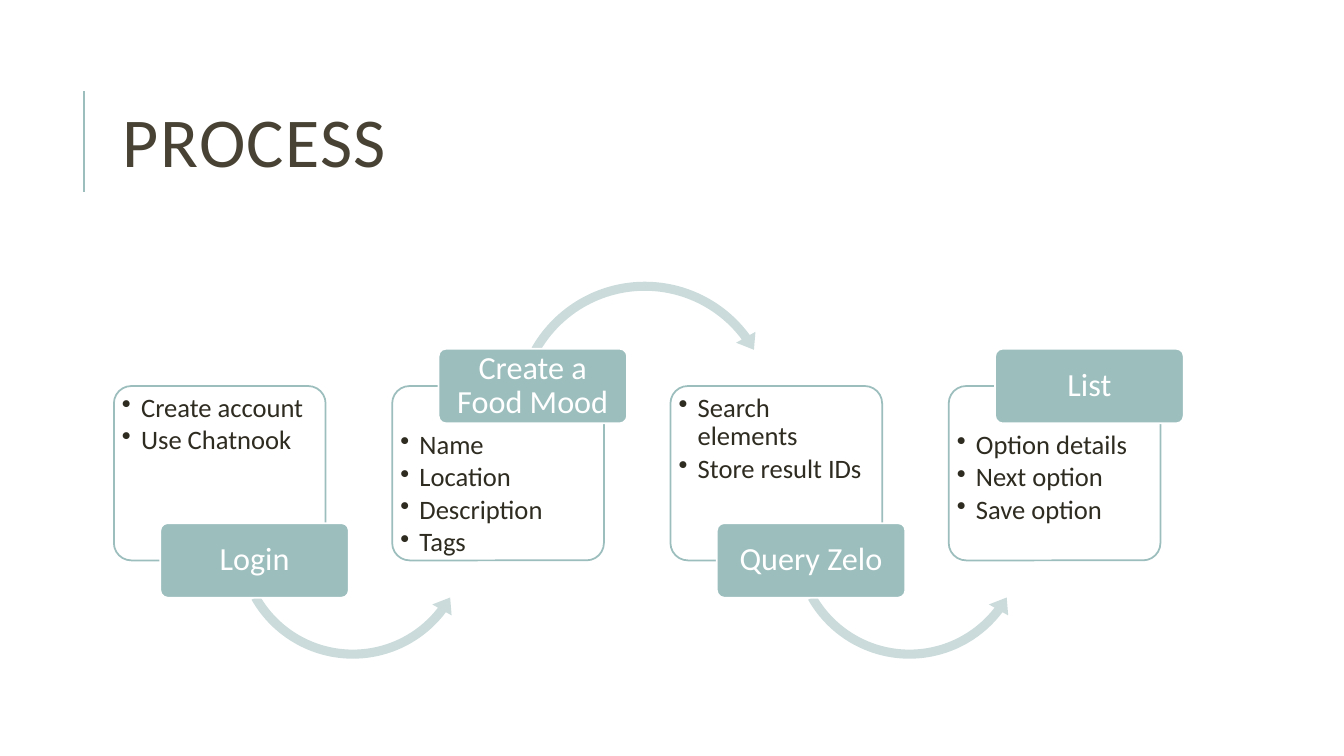
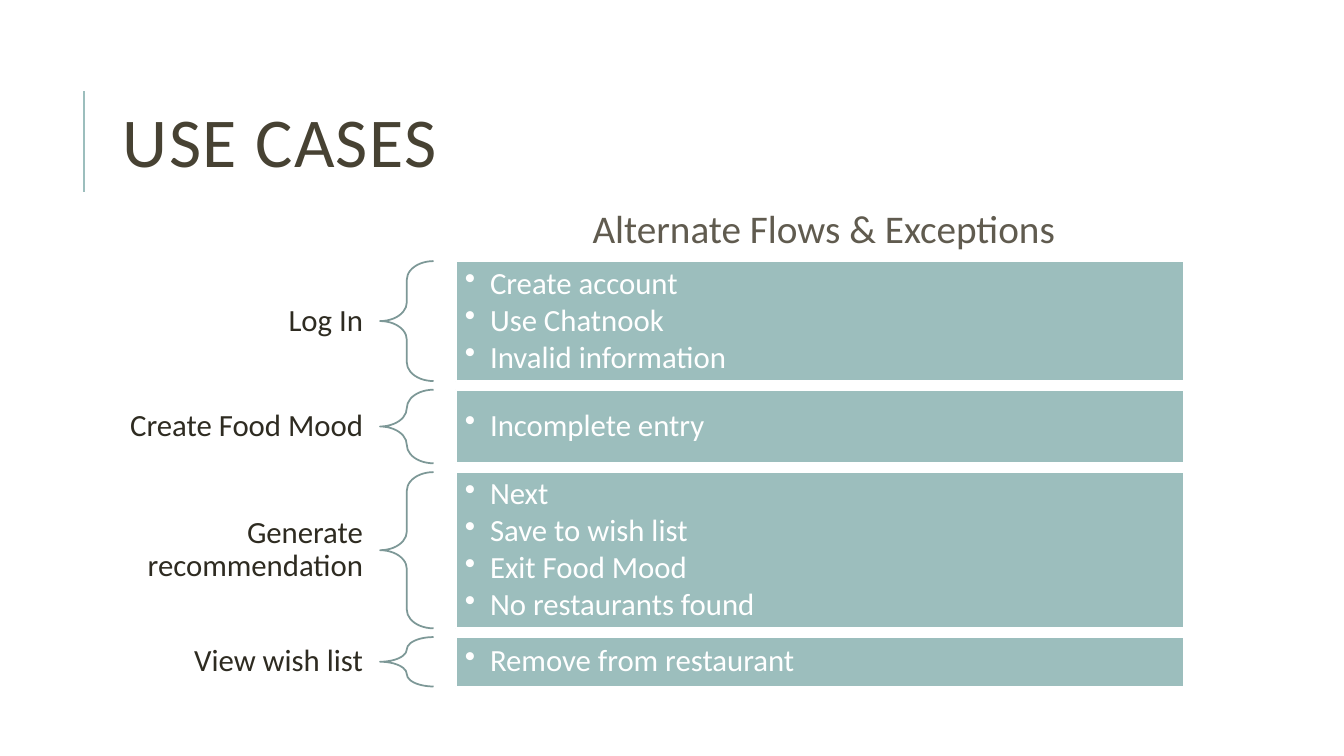
from dataclasses import dataclass

from lxml import etree
from pptx import Presentation
from pptx.dml.color import RGBColor
from pptx.enum import shapes, text
from pptx.oxml.ns import qn
from pptx.util import Inches, Pt


@dataclass(frozen=True)
class Theme:
    font: str = "Calibri"
    teal: str = "9CBEBD"
    pale: str = "CBDBDB"
    brace: str = "7D9897"
    title: str = "474233"
    head: str = "605B4F"
    ink: str = "2E2B21"
    white: str = "FFFFFF"
    title_pt: int = 50
    head_pt: int = 28
    label_pt: int = 23
    row_pt: int = 22
    item_pt: int = 19
    edge_pt: float = 1.25
    rule_pt: float = 1.5
    after_pt: float = 2.7


T = Theme()
KIND = shapes.MSO_SHAPE
ALIGN = text.PP_ALIGN
ANCHOR = text.MSO_ANCHOR

STEPS = [
    ("Login", "down", ["Create account", "Use Chatnook"]),
    ("Create a Food Mood", "up", ["Name", "Location", "Description", "Tags"]),
    ("Query Zelo", "down", ["Search elements", "Store result IDs"]),
    ("List", "up", ["Option details", "Next option", "Save option"]),
]
SIDES = {
    "down": dict(label=5.19, pad=0.03, kind=KIND.LEFT_CIRCULAR_ARROW,
                 top=4.16, size=2.44, turn=(4.57, 22.33, 90.25)),
    "up": dict(label=3.46, pad=0.4, kind=KIND.CIRCULAR_ARROW,
               top=2.73, size=2.71, turn=(4.09, 194.16, 125.76)),
}
HEAD = "Alternate Flows & Exceptions"
CASES = [
    ("Log In", 1.19, ["Create account", "Use Chatnook", "Invalid information"]),
    ("Create Food Mood", 0.73, ["Incomplete entry"]),
    ("Generate recommendation", 1.55,
     ["Next", "Save to wish list", "Exit Food Mood", "No restaurants found"]),
    ("View wish list", 0.49, ["Remove from restaurant"]),
]


def color(code):
    return RGBColor.from_string(code)


def draw(slide, kind, box, fill=None, line=None, adjust=()):
    shape = slide.shapes.add_shape(kind, *map(Inches, box))
    shape.shadow.inherit = False
    if fill:
        shape.fill.solid()
        shape.fill.fore_color.rgb = color(fill)
    else:
        shape.fill.background()
    if line:
        shape.line.color.rgb = color(line)
        shape.line.width = Pt(T.edge_pt)
    else:
        shape.line.fill.background()
    for i, value in enumerate(adjust):
        shape.adjustments[i] = value
    return shape


def write(shape, lines, size, ink, align=ALIGN.LEFT, anchor=ANCHOR.MIDDLE,
          pads=(0.1, 0.05, 0.1, 0.05), space=0.9, hang=0, track=0):
    frame = shape.text_frame
    frame.word_wrap = True
    frame.vertical_anchor = anchor
    (frame.margin_left, frame.margin_top,
     frame.margin_right, frame.margin_bottom) = map(Inches, pads)
    for i, line in enumerate(lines):
        para = frame.paragraphs[0] if i == 0 else frame.add_paragraph()
        para.alignment = align
        para.line_spacing = space
        if hang:
            para.space_after = Pt(T.after_pt)
            props = para._p.get_or_add_pPr()
            props.set("marL", str(Inches(hang)))
            props.set("indent", str(-Inches(hang)))
            etree.SubElement(props, qn("a:buChar")).set("char", "•")
        run = para.add_run()
        run.text = line
        run.font.name = T.font
        run.font.size = Pt(size)
        run.font.color.rgb = color(ink)
        if track:
            run._r.get_or_add_rPr().set("spc", str(track * 100))


def note(slide, box, lines, *args, **opts):
    write(slide.shapes.add_textbox(*map(Inches, box)), lines, *args, **opts)


def start(deck, title):
    slide = deck.slides.add_slide(deck.slide_layouts[6])
    rule = slide.shapes.add_connector(
        shapes.MSO_CONNECTOR.STRAIGHT, *map(Inches, (0.83, 1.9, 0.83, 0.9)))
    rule.line.color.rgb = color(T.teal)
    rule.line.width = Pt(T.rule_pt)
    etree.SubElement(rule._element.spPr, qn("a:effectLst"))
    note(slide, (1.12, 0.64, 10.63, 1.64), [title], T.title_pt, T.title,
         space=0.8, track=1)
    return slide


def process(deck):
    slide = start(deck, "PROCESS")
    left, step = 1.13, 2.76
    for i, (name, side, items) in enumerate(STEPS):
        x, spot = left + i * step, SIDES[side]
        card = draw(slide, KIND.ROUNDED_RECTANGLE, (x, 3.83, 2.1, 1.73),
                    T.white, T.teal, [0.1])
        write(card, items, T.item_pt, T.ink, anchor=ANCHOR.TOP,
              pads=(0.03, spot["pad"], 0.03, 0.03), hang=0.19)
        if i < len(STEPS) - 1:
            size = spot["size"]
            draw(slide, spot["kind"], (x + 1.15, spot["top"], size, size), T.pale,
                 adjust=(0.09 / size, *spot["turn"], 0.11 / size))
        label = draw(slide, KIND.ROUNDED_RECTANGLE,
                     (x + 0.46, spot["label"], 1.87, 0.74), T.teal, T.white, [0.1])
        write(label, [name], T.label_pt, T.white, ALIGN.CENTER,
              pads=(0.05, 0.03, 0.05, 0.03))


def cases(deck):
    slide = start(deck, "USE CASES")
    top, end = 2.59, 6.81
    gap = (end - top - sum(high for _, high, _ in CASES)) / (len(CASES) - 1)
    for name, high, items in CASES:
        note(slide, (1.12, top, 2.65, high), [name], T.row_pt, T.ink, ALIGN.RIGHT,
             pads=(0.17, 0.06, 0.17, 0.06))
        draw(slide, KIND.LEFT_BRACE, (3.77, top, 0.53, high),
             line=T.brace, adjust=(0.35, 0.5))
        bar = draw(slide, KIND.RECTANGLE, (4.52, top, 7.22, high), T.teal, T.white)
        write(bar, items, T.row_pt, T.white, pads=(0.09,) * 4, hang=0.25)
        top += high + gap
    note(slide, (4.59, 1.98, 7.16, 0.57), [HEAD], T.head_pt, T.head,
         ALIGN.CENTER, ANCHOR.TOP, space=1.0)


def main():
    deck = Presentation()
    deck.slide_width, deck.slide_height = Inches(13.33), Inches(7.5)
    process(deck)
    cases(deck)
    deck.save("out.pptx")


if __name__ == "__main__":
    main()
